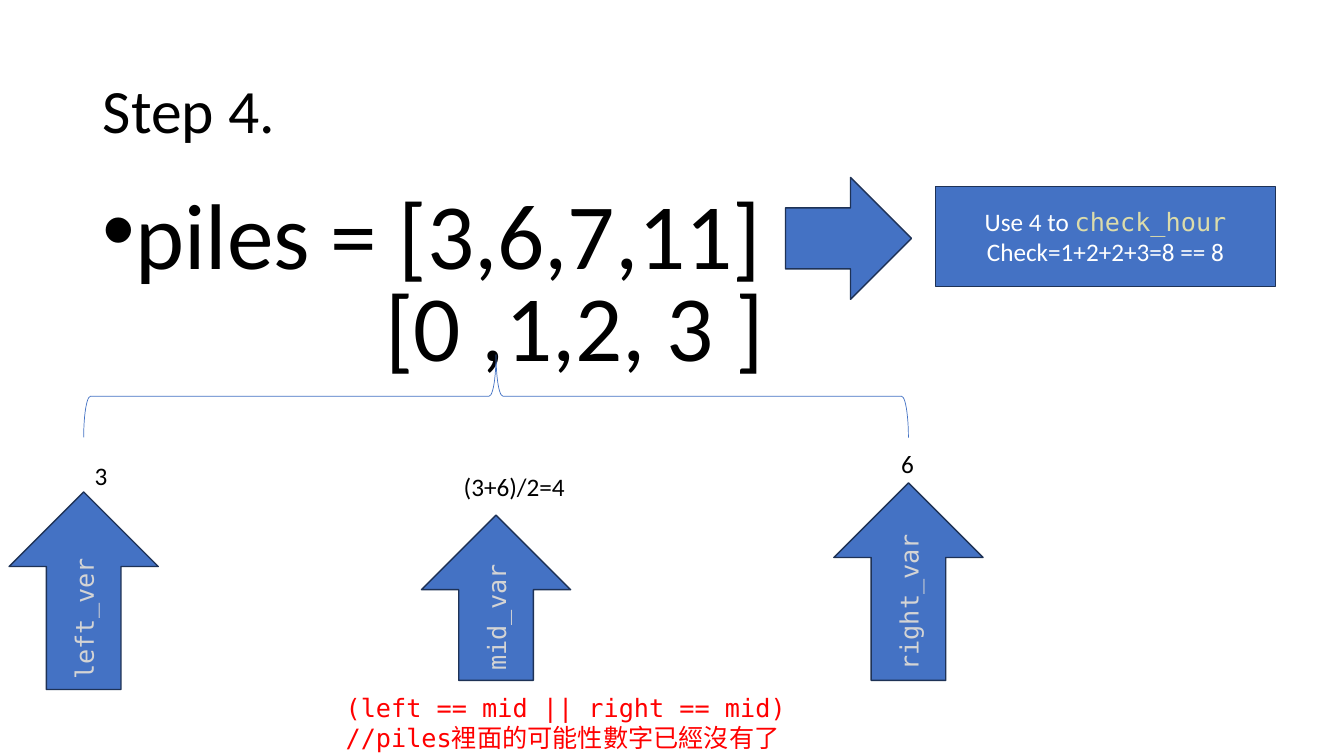
"""Build the slide for step 4 of the binary search over piles."""
import pptx
import pptx.util
import pptx.dml.color
import pptx.enum.shapes
import pptx.enum.text
import pptx.oxml

RGB = pptx.dml.color.RGBColor
KIND = pptx.enum.shapes.MSO_SHAPE
ALIGN = pptx.enum.text.PP_ALIGN
ANCHOR = pptx.enum.text.MSO_ANCHOR
FIT = pptx.enum.text.MSO_AUTO_SIZE
BLUE = RGB(0x44, 0x72, 0xC4)
NAVY = RGB(0x1E, 0x32, 0x56)
BLACK = RGB(0, 0, 0)
WHITE = RGB(255, 255, 255)
GREY = RGB(0xD4, 0xD4, 0xD4)
SAND = RGB(0xDC, 0xDC, 0xAA)
RED = RGB(255, 0, 0)
SANS = "Calibri"
MONO = "DejaVu Sans Mono"
SCALE = 9144


def px(*nums):
    return [pptx.util.Emu(num * SCALE) for num in nums]


def style(item, form):
    for key, val in form.items():
        setattr(item, key, val)


class Deck:
    """Hold the style and the current slide."""

    def __init__(self):
        self.show = pptx.Presentation()
        self.show.slide_width, self.show.slide_height = px(1333, 750)
        self.slide = self.show.slides.add_slide(self.show.slide_layouts[5])

    def words(self, frame, lines, size=18, form=None, **para):
        style(frame, {"word_wrap": True, **(form or {})})
        for i, line in enumerate(lines):
            item = frame.paragraphs[0] if i == 0 else frame.add_paragraph()
            style(item, {"alignment": ALIGN.LEFT, **para})
            for text, face, tint in line:
                run = item.add_run()
                run.text = text
                style(run.font, {"name": face, "size": pptx.util.Pt(size)})
                run.font.color.rgb = tint

    def title(self, box, text):
        head = self.slide.shapes.title
        style(head, dict(zip(("left", "top", "width", "height"), px(*box))))
        form = {"auto_size": FIT.NONE, "vertical_anchor": ANCHOR.MIDDLE}
        self.words(head.text_frame, [[(text, SANS, BLACK)]], 44, form, line_spacing=0.9)

    def label(self, box, lines, size=18, fit=FIT.SHAPE_TO_FIT_TEXT, **para):
        note = self.slide.shapes.add_textbox(*px(*box))
        self.words(note.text_frame, lines, size, {"auto_size": fit}, **para)
        return note

    def shape(self, kind, box, lines=(), turn=0, fill=BLUE, edge=NAVY, width=1, **para):
        item = self.slide.shapes.add_shape(kind, *px(*box))
        item.shadow.inherit = False
        item.rotation = turn
        if fill is None:
            item.fill.background()
        else:
            item.fill.solid()
            item.fill.fore_color.rgb = fill
        item.line.color.rgb = edge
        item.line.width = pptx.util.Pt(width)
        self.words(item.text_frame, lines, form={"vertical_anchor": ANCHOR.MIDDLE}, **para)

    def indent(self, item, left, first=0, mark=None):
        props = item._p.get_or_add_pPr()
        for key, val in (("marL", left), ("indent", first)):
            props.set(key, str(val * SCALE))
        if mark:
            space = "http://schemas.openxmlformats.org/drawingml/2006/main"
            for tag, key, val in (("buFont", "typeface", "Arial"), ("buChar", "char", mark)):
                props.append(pptx.oxml.parse_xml(f'<a:{tag} xmlns:a="{space}" {key}="{val}"/>'))


def main():
    deck = Deck()
    deck.title((92, 40, 1150, 145), "Step 4.")

    piles = [[(text, SANS, BLACK)] for text in ("piles = [3,6,7,11]", "[0 ,1,2, 3 ]")]
    body = deck.label((92, 200, 888, 196), piles, 66.6, FIT.NONE, line_spacing=0.7)
    first, second = body.text_frame.paragraphs
    deck.indent(first, 25, -25, "•")
    deck.indent(second, 280)
    second.space_before = pptx.util.Pt(10)

    for name, left, top, width in (
        ("mid_var", 410, 519, 164),
        ("left_ver", -15, 512, 196),
        ("right_var", 803, 503, 196),
    ):
        deck.shape(KIND.RIGHT_ARROW, (left, top, width, 148), [[(name, MONO, GREY)]], 270)

    check = [
        [("Use 4 to ", SANS, WHITE), ("check_hour", MONO, SAND)],
        [("Check=1+2+2+3=8 == 8", SANS, WHITE)],
    ]
    deck.shape(KIND.FLOWCHART_PROCESS, (928, 185, 337, 99), check, alignment=ALIGN.CENTER)
    deck.shape(KIND.RIGHT_ARROW, (779, 176, 125, 121))

    ending = ("(left == mid || right == mid)", "//piles裡面的可能性數字已經沒有了")
    deck.label((333, 682, 666, 71), [[(text, MONO, RED)] for text in ending])
    deck.shape(KIND.RIGHT_BRACE, (451, -16, 82, 818), turn=270, fill=None, edge=BLUE, width=0.5)

    for text, box in (
        ("6", (884, 440, 64, 40)),
        ("(3+6)/2=4", (450, 463, 155, 40)),
        ("3", (84, 452, 38, 41)),
    ):
        deck.label(box, [[(text, SANS, BLACK)]])
    deck.show.save("out.pptx")


if __name__ == "__main__":
    main()
